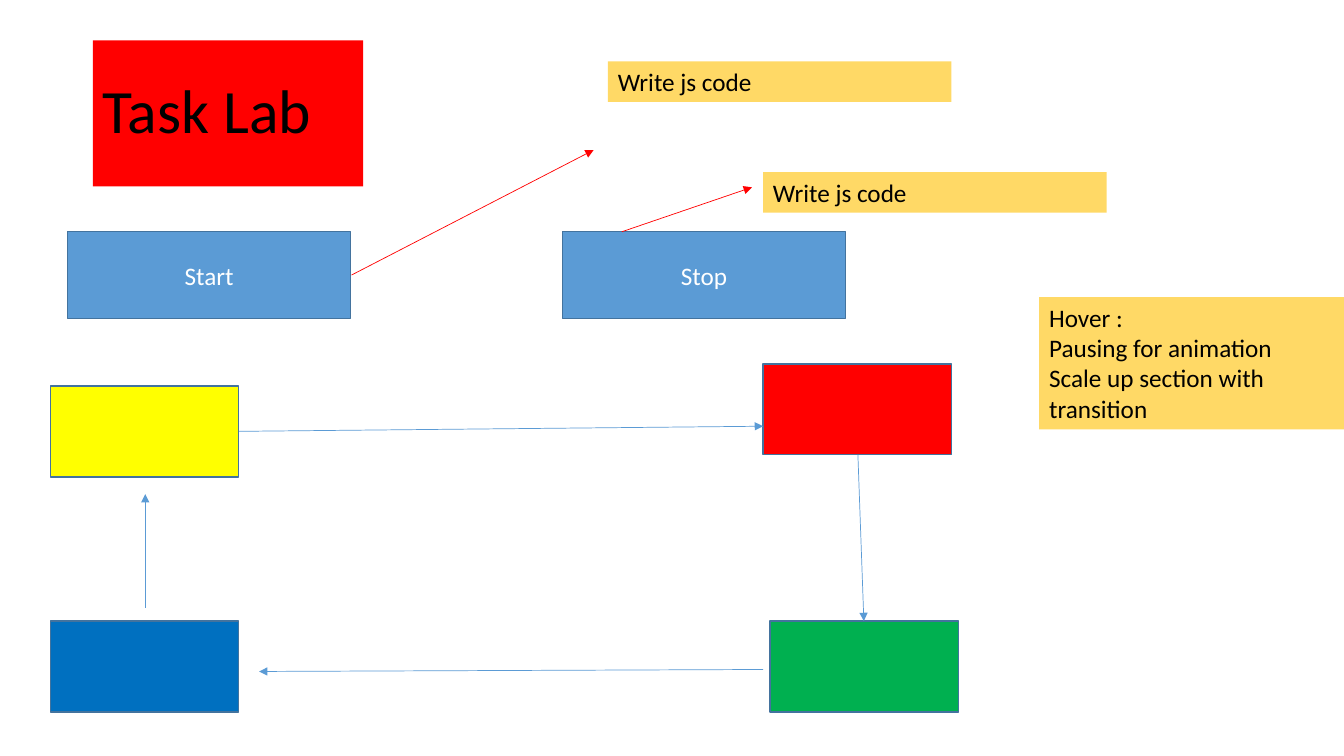
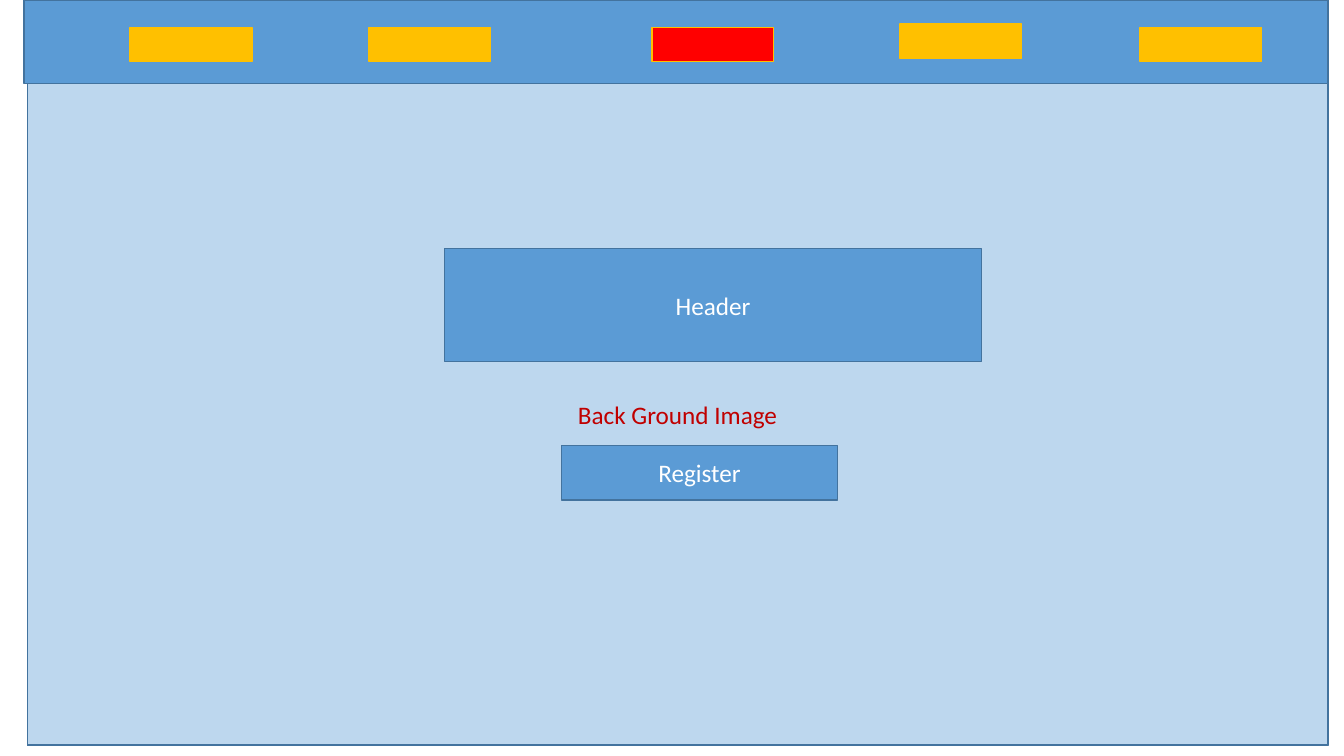
"""Build a two-slide lab brief: an animation task and a page layout."""
from dataclasses import dataclass
from typing import Optional

from lxml.etree import SubElement
from pptx import Presentation
from pptx.dml.color import RGBColor
from pptx.enum.shapes import MSO_CONNECTOR as ConnectorKind, MSO_SHAPE as ShapeKind
from pptx.enum.text import MSO_ANCHOR as Anchor, MSO_AUTO_SIZE as AutoSize, PP_ALIGN as Align
from pptx.oxml.ns import qn
from pptx.shapes.autoshape import Shape
from pptx.slide import Slide
from pptx.util import Cm, Pt

COLORS = {
    "blue": "5B9BD5",
    "outline": "43739E",
    "pale blue": "BDD7EE",
    "deep blue": "0070C0",
    "red": "FF0000",
    "dark red": "C00000",
    "yellow": "FFFF00",
    "green": "00B050",
    "amber": "FFC000",
    "note": "FFD966",
    "black": "000000",
    "white": "FFFFFF",
}
FONT = "Calibri"
BUTTON_SIZE = (7.14, 2.18)
SECTION_SIZE = (4.75, 2.29)
TAB_SIZE = (3.07, 0.86)


@dataclass(frozen=True)
class Box:
    left: float
    top: float
    width: float
    height: float
    fill: Optional[str] = "blue"
    line: Optional[str] = "outline"
    text: str = ""
    color: str = "white"


@dataclass(frozen=True)
class Note:
    left: float
    top: float
    width: float
    height: float
    text: str


@dataclass(frozen=True)
class Arrow:
    start: tuple[float, float]
    end: tuple[float, float]
    color: str = "blue"


TASK_BOXES = [
    Box(1.7, 5.84, *BUTTON_SIZE, text="Start"),
    Box(14.17, 5.84, *BUTTON_SIZE, text="Stop"),
    Box(1.27, 9.73, *SECTION_SIZE, fill="yellow"),
    Box(19.23, 9.17, *SECTION_SIZE, fill="red"),
    Box(19.41, 15.65, *SECTION_SIZE, fill="green"),
    Box(1.27, 15.65, *SECTION_SIZE, fill="deep blue"),
]
TASK_ARROWS = [
    Arrow((6.02, 10.87), (19.23, 10.74)),
    Arrow((21.62, 11.46), (21.77, 15.65)),
    Arrow((19.23, 16.87), (6.53, 16.92)),
    Arrow((3.66, 15.32), (3.66, 12.45)),
    Arrow((8.86, 6.93), (14.96, 3.78), "red"),
    Arrow((15.67, 5.84), (18.95, 4.72), "red"),
]
TASK_NOTES = [
    Note(26.19, 7.49, 8.28, 3.33,
         "Hover : \nPausing for animation\nScale up section with transition"),
    Note(15.32, 1.55, 8.66, 1.02, "Write js code"),
    Note(19.23, 4.34, 8.66, 1.02, "Write js code"),
]
TABS = [
    (3.28, 0.69, "amber"),
    (9.3, 0.69, "amber"),
    (16.43, 0.69, "red"),
    (22.68, 0.61, "amber"),
    (28.73, 0.69, "amber"),
]
PAGE_BOXES = [
    Box(0.69, 0, 32.79, 18.77, fill=None),
    Box(0.61, 0, 32.84, 2.11),
    *(Box(left, top, *TAB_SIZE, fill=fill, line="amber") for left, top, fill in TABS),
    Box(0.69, 2.11, 32.77, 16.66, fill="pale blue", text="Back Ground Image", color="dark red"),
    Box(11.2, 6.27, 13.54, 2.84, text="Header"),
    Box(14.15, 11.23, 6.96, 1.37, text="Register"),
]


def rgb(name: str) -> RGBColor:
    return RGBColor.from_string(COLORS[name])


def write_text(shape: Shape, text: str, *, size: float = 18, color: str = "black",
               align: Align = Align.LEFT, anchor: Anchor = Anchor.MIDDLE,
               spacing: float = 1.0, auto_size: AutoSize = AutoSize.NONE) -> None:
    frame = shape.text_frame
    frame.text = text
    frame.word_wrap = True
    frame.auto_size = auto_size
    frame.vertical_anchor = anchor
    for paragraph in frame.paragraphs:
        paragraph.alignment = align
        paragraph.line_spacing = spacing
        for run in paragraph.runs:
            run.font.name = FONT
            run.font.size = Pt(size)
            run.font.color.rgb = rgb(color)


def add_box(slide: Slide, box: Box) -> Shape:
    shape = slide.shapes.add_shape(
        ShapeKind.RECTANGLE, Cm(box.left), Cm(box.top), Cm(box.width), Cm(box.height))
    shape.shadow.inherit = False
    if box.fill:
        shape.fill.solid()
        shape.fill.fore_color.rgb = rgb(box.fill)
    else:
        shape.fill.background()
    if box.line:
        shape.line.color.rgb = rgb(box.line)
        shape.line.width = Pt(1)
    else:
        shape.line.fill.background()
    if box.text:
        write_text(shape, box.text, color=box.color, align=Align.CENTER)
    return shape


def add_title(slide: Slide, text: str) -> None:
    shape = add_box(slide, Box(2.34, 1.02, 6.81, 3.68, fill="red", line=None))
    write_text(shape, text, size=44, spacing=0.9)


def add_note(slide: Slide, note: Note) -> None:
    shape = add_box(slide, Box(
        note.left, note.top, note.width, note.height, fill="note", line=None))
    write_text(shape, note.text, anchor=Anchor.TOP, auto_size=AutoSize.SHAPE_TO_FIT_TEXT)


def add_arrow(slide: Slide, arrow: Arrow) -> None:
    connector = slide.shapes.add_connector(
        ConnectorKind.STRAIGHT, *(Cm(value) for value in arrow.start + arrow.end))
    connector.line.color.rgb = rgb(arrow.color)
    connector.line.width = Pt(0.5)
    properties = connector.element.spPr
    SubElement(properties.find(qn("a:ln")), qn("a:tailEnd"), type="triangle")
    SubElement(properties, qn("a:effectLst"))


def add_blank_slide(presentation: Presentation) -> Slide:
    return presentation.slides.add_slide(presentation.slide_layouts[6])


def build_task_slide(presentation: Presentation) -> None:
    slide = add_blank_slide(presentation)
    add_title(slide, "Task Lab")
    for box in TASK_BOXES:
        add_box(slide, box)
    for arrow in TASK_ARROWS:
        add_arrow(slide, arrow)
    for note in TASK_NOTES:
        add_note(slide, note)


def build_page_slide(presentation: Presentation) -> None:
    slide = add_blank_slide(presentation)
    for box in PAGE_BOXES:
        add_box(slide, box)


def main() -> None:
    presentation = Presentation()
    presentation.slide_width = Cm(33.87)
    presentation.slide_height = Cm(19.05)
    build_task_slide(presentation)
    build_page_slide(presentation)
    presentation.save("out.pptx")


main()
